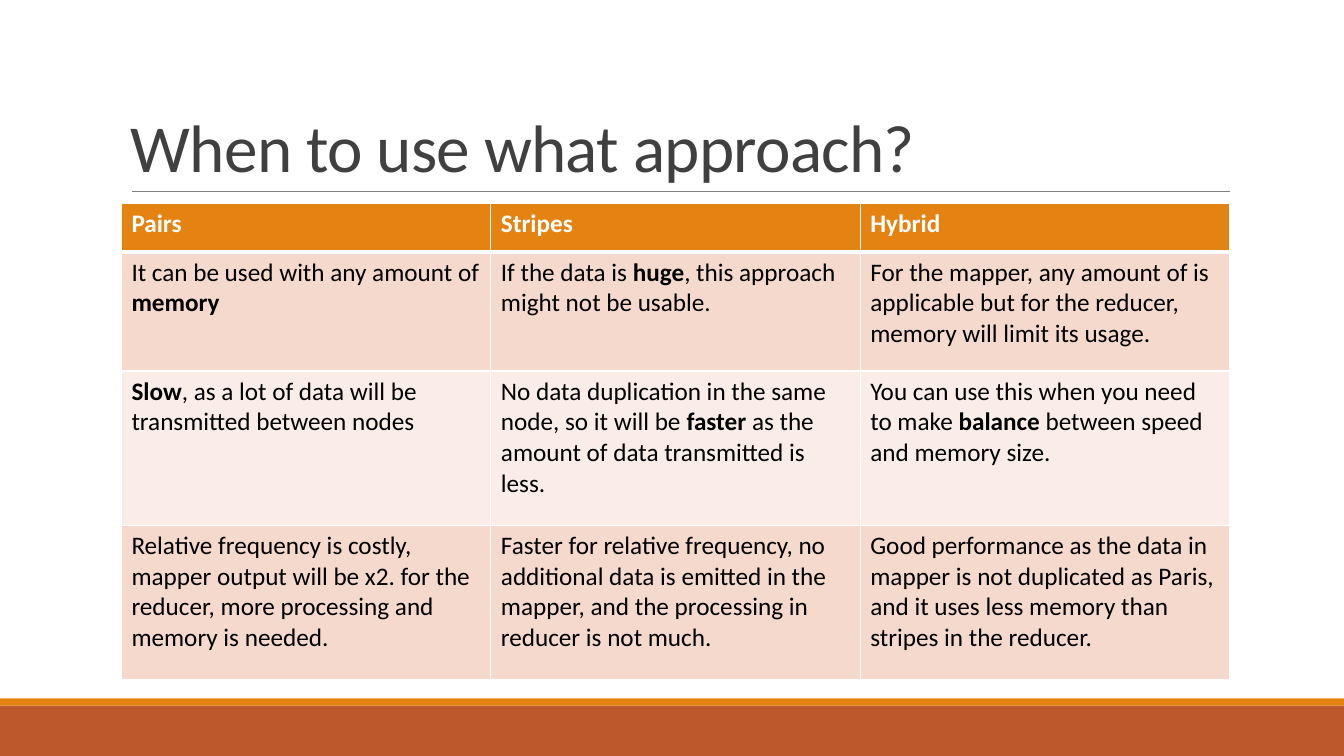
from lxml import etree
from pptx import Presentation
from pptx.dml.color import RGBColor
from pptx.enum.shapes import MSO_CONNECTOR as Connector, MSO_SHAPE as Shape
from pptx.enum.text import MSO_ANCHOR as Anchor
from pptx.oxml.ns import qn
from pptx.util import Cm, Pt

WHITE = RGBColor(0xFF, 0xFF, 0xFF)
BLACK = RGBColor(0x00, 0x00, 0x00)
CHARCOAL = RGBColor(0x40, 0x40, 0x40)
GREY = RGBColor(0x80, 0x80, 0x80)
RUST = RGBColor(0xBD, 0x58, 0x2C)
ORANGE = RGBColor(0xE4, 0x83, 0x12)
PEACH = RGBColor(0xF5, 0xD9, 0xCC)
PALE_PEACH = RGBColor(0xFA, 0xED, 0xE7)

WIDTH, HEIGHT = 33.87, 19.05
ROW_HEIGHTS = [1.22, 3, 3.89, 3.89]
APPROACHES = [
    ["*Pairs", "*Stripes", "*Hybrid"],
    ["It can be used with any amount of *memory",
     "If the data is *huge*, this approach might not be usable.",
     "For the mapper, any amount of is applicable but for the reducer, "
     "memory will limit its usage."],
    ["*Slow*, as a lot of data will be transmitted between nodes",
     "No data duplication in the same node, so it will be *faster* as the "
     "amount of data transmitted is less.",
     "You can use this when you need to make *balance* between speed and memory size."],
    ["Relative frequency is costly, mapper output will be x2. for the reducer, "
     "more processing and memory is needed.",
     "Faster for relative frequency, no additional data is emitted in the mapper, "
     "and the processing in reducer is not much.",
     "Good performance as the data in mapper is not duplicated as Paris, "
     "and it uses less memory than stripes in the reducer."],
]


class SlideBuilder:
    """Draws styled elements on one slide; asterisks in text toggle bold."""

    font = "Calibri"

    def __init__(self, slide):
        self.shapes = slide.shapes

    def add_runs(self, paragraph, text, size, color):
        for index, part in enumerate(text.split("*")):
            if part:
                run = paragraph.add_run()
                run.text = part
                run.font.name = self.font
                run.font.size = Pt(size)
                run.font.bold = index % 2 == 1
                run.font.color.rgb = color

    def band(self, top, height, color):
        stripe = self.shapes.add_shape(Shape.RECTANGLE, 0, Cm(top), Cm(WIDTH), Cm(height))
        stripe.shadow.inherit = False
        stripe.fill.solid()
        stripe.fill.fore_color.rgb = color
        stripe.line.fill.background()

    def rule(self, left, right, top):
        underline = self.shapes.add_connector(
            Connector.STRAIGHT, Cm(left), Cm(top), Cm(right), Cm(top))
        underline.line.color.rgb = GREY
        underline.line.width = Pt(0.5)
        etree.SubElement(underline._element.spPr, qn("a:effectLst"))

    def title(self, text, left, top, width, height):
        frame = self.shapes.add_textbox(Cm(left), Cm(top), Cm(width), Cm(height)).text_frame
        frame.word_wrap = True
        frame.vertical_anchor = Anchor.BOTTOM
        heading = frame.paragraphs[0]
        heading.line_spacing = 0.85
        self.add_runs(heading, text, 48, CHARCOAL)
        for run in heading.runs:
            run.font._element.set("spc", "-50")

    def border(self, cell, side, points):
        edge = etree.SubElement(cell._tc.get_or_add_tcPr(), qn(f"a:ln{side}"), w=str(Pt(points)))
        fill = etree.SubElement(edge, qn("a:solidFill"))
        etree.SubElement(fill, qn("a:srgbClr"), val=str(WHITE))

    def table(self, rows, heights, left, top, width):
        columns = len(rows[0])
        grid = self.shapes.add_table(
            len(rows), columns, Cm(left), Cm(top), Cm(width), Cm(sum(heights))).table
        for column in grid.columns:
            column.width = Cm(width / columns)
        for r, (texts, height) in enumerate(zip(rows, heights)):
            grid.rows[r].height = Cm(height)
            header = r == 0
            background = ORANGE if header else PEACH if r % 2 else PALE_PEACH
            for c, text in enumerate(texts):
                cell = grid.cell(r, c)
                for side in "LRTB":
                    self.border(cell, side, 3 if header and side == "B" else 1)
                cell.fill.solid()
                cell.fill.fore_color.rgb = background
                self.add_runs(cell.text_frame.paragraphs[0], text, 18,
                              WHITE if header else BLACK)


def main():
    deck = Presentation()
    deck.slide_width, deck.slide_height = Cm(WIDTH), Cm(HEIGHT)
    builder = SlideBuilder(deck.slides.add_slide(deck.slide_layouts[6]))
    builder.band(17.78, 1.27, RUST)
    builder.band(17.6, 0.18, ORANGE)
    builder.rule(3.32, 31, 4.83)
    builder.title("When to use what approach?", 3.05, 0.79, 27.94, 4.03)
    builder.table(APPROACHES, ROW_HEIGHTS, 3.06, 5.13, 27.93)
    deck.save("out.pptx")


if __name__ == "__main__":
    main()
